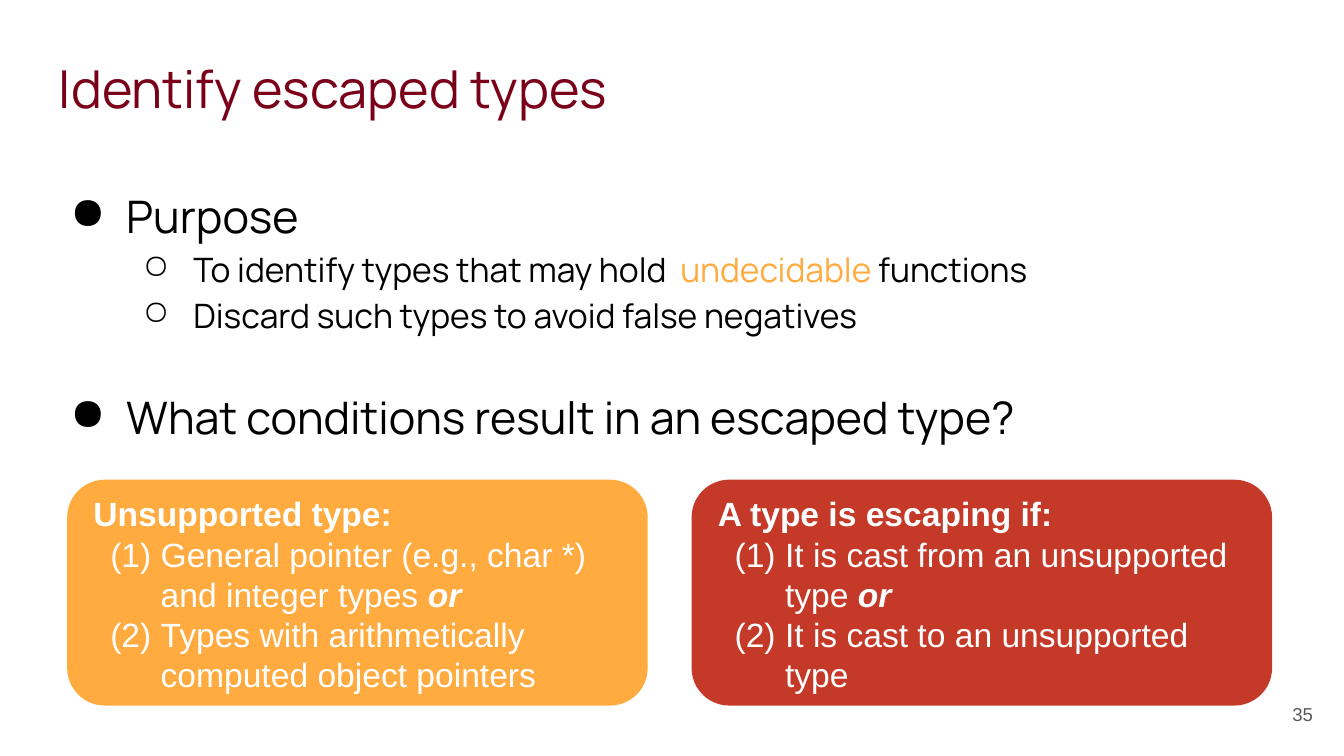
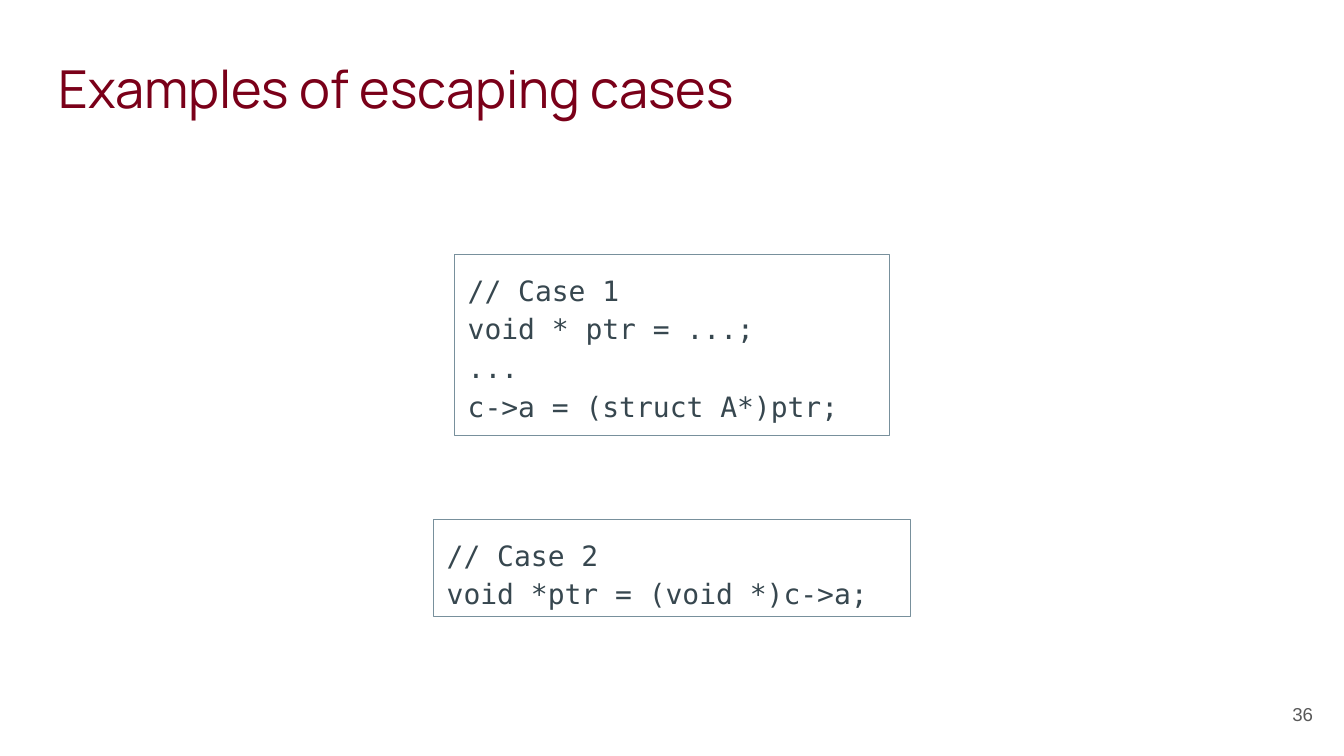
from lxml import etree
from pptx import Presentation
from pptx.dml.color import RGBColor
from pptx.enum import shapes, text
from pptx.oxml.ns import qn
from pptx.util import Pt

SANS, HEAD, MONO = "Arial", "Manrope", "DejaVu Sans Mono"
MAROON, BLACK, WHITE, GREY = "7A0019", "000000", "FFFFFF", "595959"
AMBER, RED, SLATE, INK = "FFAB40", "C53929", "78909C", "37474F"
LEFT, MID = text.PP_ALIGN.LEFT, text.MSO_ANCHOR.MIDDLE
RECT, ROUND = shapes.MSO_SHAPE.RECTANGLE, shapes.MSO_SHAPE.ROUNDED_RECTANGLE


def color(code):
    return RGBColor.from_string(code)


class Deck:
    def __init__(self):
        self.prs = Presentation()
        self.prs.slide_width, self.prs.slide_height = Pt(720), Pt(405)
        self.slide = None

    def page(self, title, num):
        self.slide = self.prs.slides.add_slide(self.prs.slide_layouts[6])
        frame = self.box(24.5, 23, 671, 45)
        self.para(frame, [(title, {})], 28, HEAD, MAROON)
        frame = self.box(667.5, 367, 43, 31, MID)
        self.para(frame, [(str(num), {})], 10, SANS, GREY,
                  align=text.PP_ALIGN.RIGHT)

    def setup(self, shape, anchor):
        frame = shape.text_frame
        frame.word_wrap = True
        frame.vertical_anchor = anchor
        frame.margin_left = frame.margin_right = Pt(7.2)
        frame.margin_top = frame.margin_bottom = Pt(7.2)
        return frame

    def box(self, x, y, w, h, anchor=text.MSO_ANCHOR.TOP):
        area = self.slide.shapes.add_textbox(Pt(x), Pt(y), Pt(w), Pt(h))
        return self.setup(area, anchor)

    def shape(self, kind, x, y, w, h, fill=None, line=None):
        item = self.slide.shapes.add_shape(kind, Pt(x), Pt(y), Pt(w), Pt(h))
        item.shadow.inherit = False
        if fill:
            item.fill.solid()
            item.fill.fore_color.rgb = color(fill)
        else:
            item.fill.background()
        if line:
            item.line.color.rgb = color(line)
            item.line.width = Pt(0.75)
        else:
            item.line.fill.background()
        return self.setup(item, text.MSO_ANCHOR.TOP)

    def para(self, frame, runs, size, font, ink, align=LEFT, gap=1.0, after=0):
        """Fill the empty first paragraph, or add one; runs are (words, changes)."""
        first = frame.paragraphs[0]
        para = frame.add_paragraph() if first.runs else first
        para.alignment, para.line_spacing = align, gap
        para.space_after = Pt(after)
        for words, change in runs:
            run = para.add_run()
            run.text = words
            run.font.size, run.font.name = Pt(size), font
            run.font.color.rgb = color(change.get("ink", ink))
            run.font.bold = change.get("bold", False)
            run.font.italic = change.get("slant", False)
        return para

    def bullet(self, para, left, hang, ink, char=None):
        """Give a bullet character, or numbers like (1) when there is none."""
        props = para._p.get_or_add_pPr()
        props.set("marL", str(Pt(left)))
        props.set("indent", str(-Pt(hang)))
        tint = etree.SubElement(props, qn("a:buClr"))
        etree.SubElement(tint, qn("a:srgbClr")).set("val", ink)
        if char:
            etree.SubElement(props, qn("a:buChar")).set("char", char)
        else:
            mark = etree.SubElement(props, qn("a:buAutoNum"))
            mark.set("type", "arabicParenBoth")

    def point(self, frame, runs, level=0, after=0):
        para = self.para(frame, runs, (24, 18)[level], HEAD, BLACK,
                         gap=1.15, after=after)
        para.level = level
        self.bullet(para, 36 * (level + 1), (30, 27)[level], BLACK, "●○"[level])

    def card(self, x, fill, head, items):
        top, wide = 257, 311
        self.shape(ROUND, x, top, wide, 121, fill)
        frame = self.box(x + 7, top, wide - 13, 102)
        self.para(frame, [(head, {"bold": True})], 18, SANS, WHITE)
        for runs in items:
            para = self.para(frame, runs, 18, SANS, WHITE)
            self.bullet(para, 36, 27, WHITE)

    def code(self, y, w, h, lines):
        """Draw a code frame centred across the slide."""
        frame = self.shape(RECT, (720 - w) / 2, y, w, h, line=SLATE)
        for line in lines:
            self.para(frame, [(line, {})], 15, MONO, INK, gap=1.15)


def main():
    deck = Deck()

    deck.page("Identify escaped types", 35)
    body = deck.box(24.5, 85.5, 671, 163.5, MID)
    deck.point(body, [("Purpose", {})])
    deck.point(body, [("To identify types that may hold  ", {}),
                      ("undecidable", {"ink": AMBER}),
                      (" functions", {})], 1)
    deck.point(body, [("Discard such types to avoid false negatives", {})],
               1, after=25)
    deck.point(body, [("What conditions result in an escaped type?", {})])

    either = ("or", {"bold": True, "slant": True})
    deck.card(36, AMBER, "Unsupported type:", [
        [("General pointer (e.g., char *) and integer types ", {}), either],
        [("Types with arithmetically computed object pointers", {})]])
    deck.card(370.5, RED, "A type is escaping if:", [
        [("It is cast from an unsupported type ", {}), either],
        [("It is cast to an unsupported type", {})]])

    deck.page("Examples of escaping cases", 36)
    deck.code(136.5, 233, 97, ["// Case 1", "void * ptr = ...;", "...",
                               "c->a = (struct A*)ptr;"])
    deck.code(278.5, 255.5, 52, ["// Case 2", "void *ptr = (void *)c->a;"])

    deck.prs.save("out.pptx")


if __name__ == "__main__":
    main()
